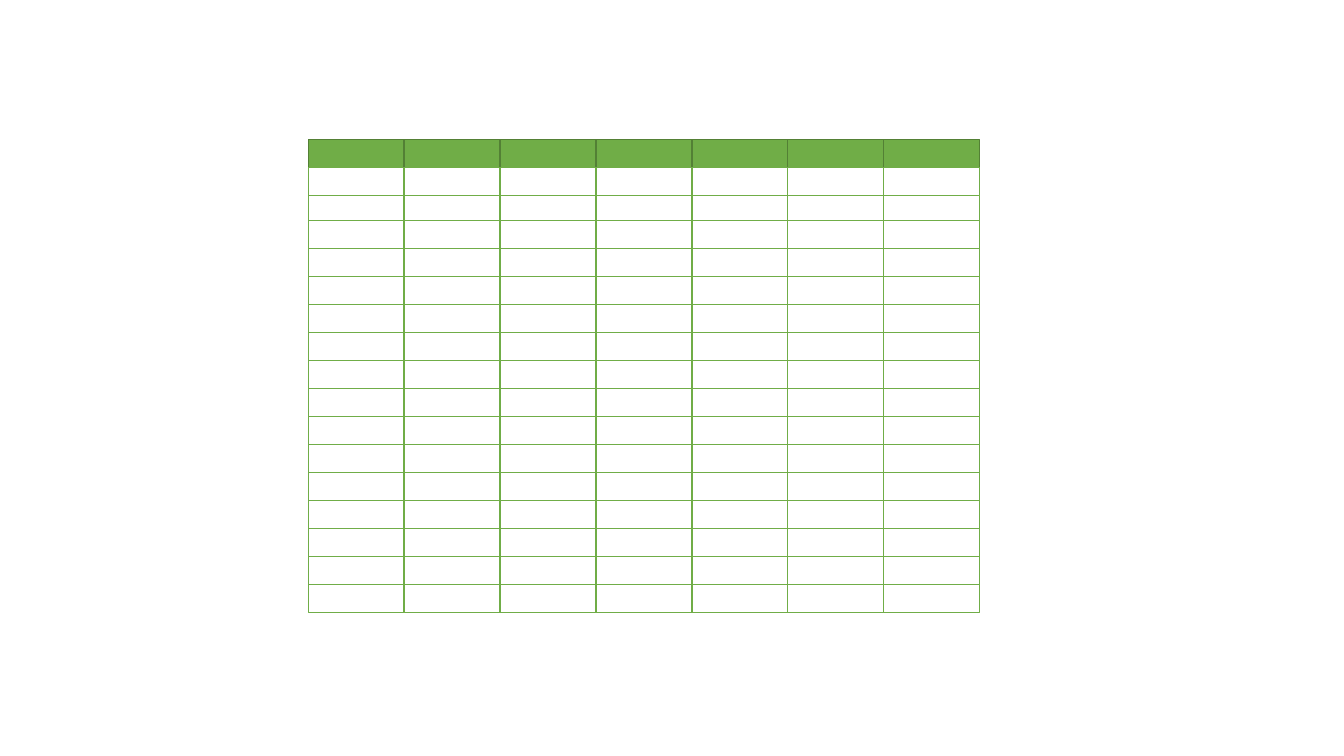
from pptx import Presentation
from pptx import util as u
from pptx.dml.color import RGBColor
from pptx.enum import shapes

COLORS = {"green": "70AD47", "dark": "538035", "white": "FFFFFF"}

# Grid measures in centimetres
COLS, ROWS = 7, 17
LEFT, TOP = 7.77, 3.51
WIDTH = 14.5 / 6
HEIGHT = 12 / 17
FILLED = 4  # rows with a solid fill, header included
SHIFT = 0.07  # rows after the third sit slightly higher


def color(name):
    return RGBColor.from_string(COLORS[name])


def add_cell(slide, left, top, fill, line):
    cell = slide.shapes.add_shape(
        shapes.MSO_SHAPE.RECTANGLE,
        u.Cm(left), u.Cm(top), u.Cm(WIDTH), u.Cm(HEIGHT))
    cell.shadow.inherit = False
    if fill:
        cell.fill.solid()
        cell.fill.fore_color.rgb = color(fill)
    else:
        cell.fill.background()
    cell.line.color.rgb = color(line)
    cell.line.width = u.Pt(1)


def add_row(slide, row):
    top = TOP + row * HEIGHT - (SHIFT if row > 2 else 0)
    if row == 0:
        fill, line = "green", "dark"
    else:
        fill, line = ("white" if row < FILLED else None), "green"
    for col in range(COLS):
        add_cell(slide, LEFT + col * WIDTH, top, fill, line)


def main():
    deck = Presentation()
    deck.slide_width, deck.slide_height = u.Cm(33.87), u.Cm(19.05)
    slide = deck.slides.add_slide(deck.slide_layouts[6])

    # Header row and empty body rows
    for row in range(ROWS):
        add_row(slide, row)

    deck.save("out.pptx")


if __name__ == "__main__":
    main()
